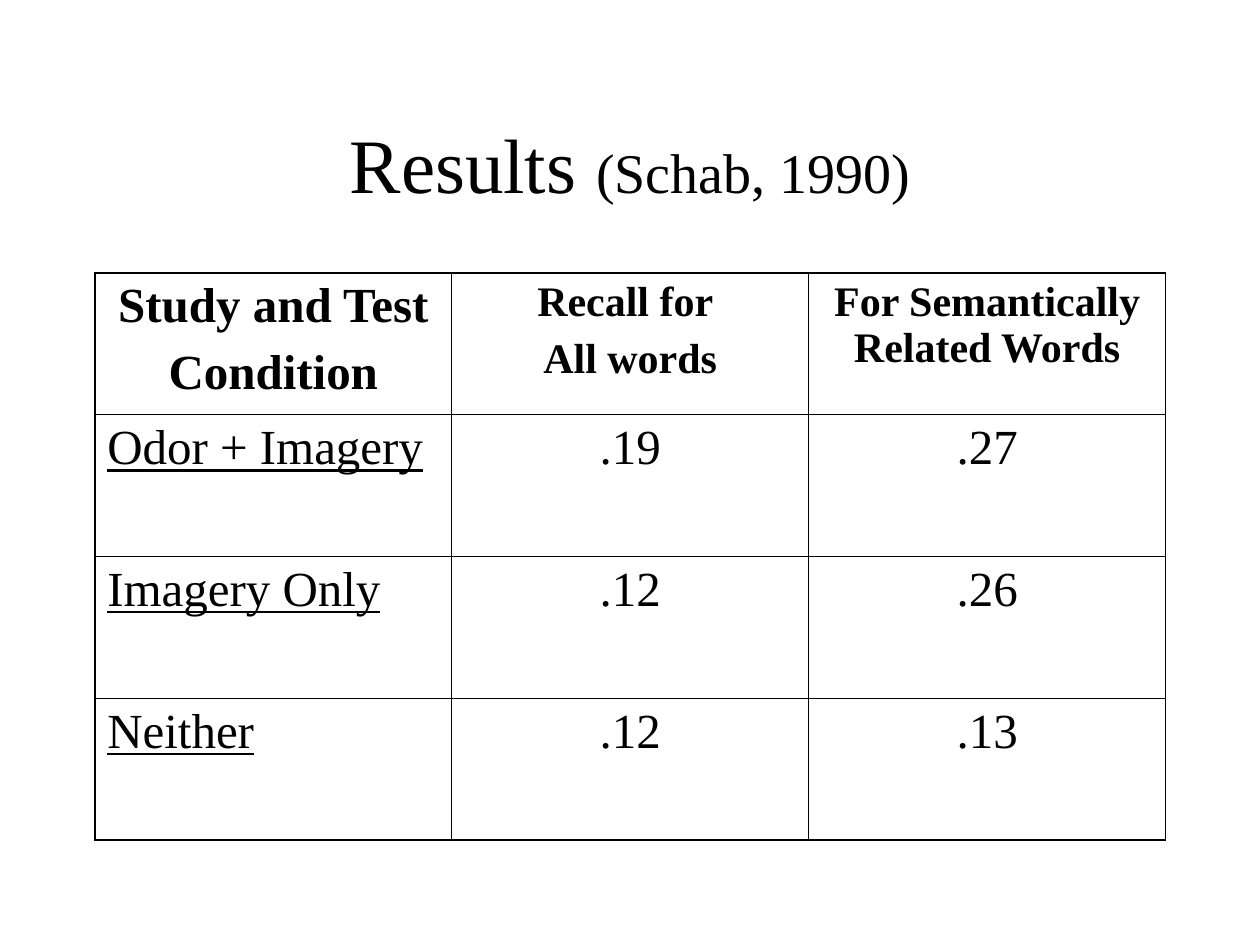
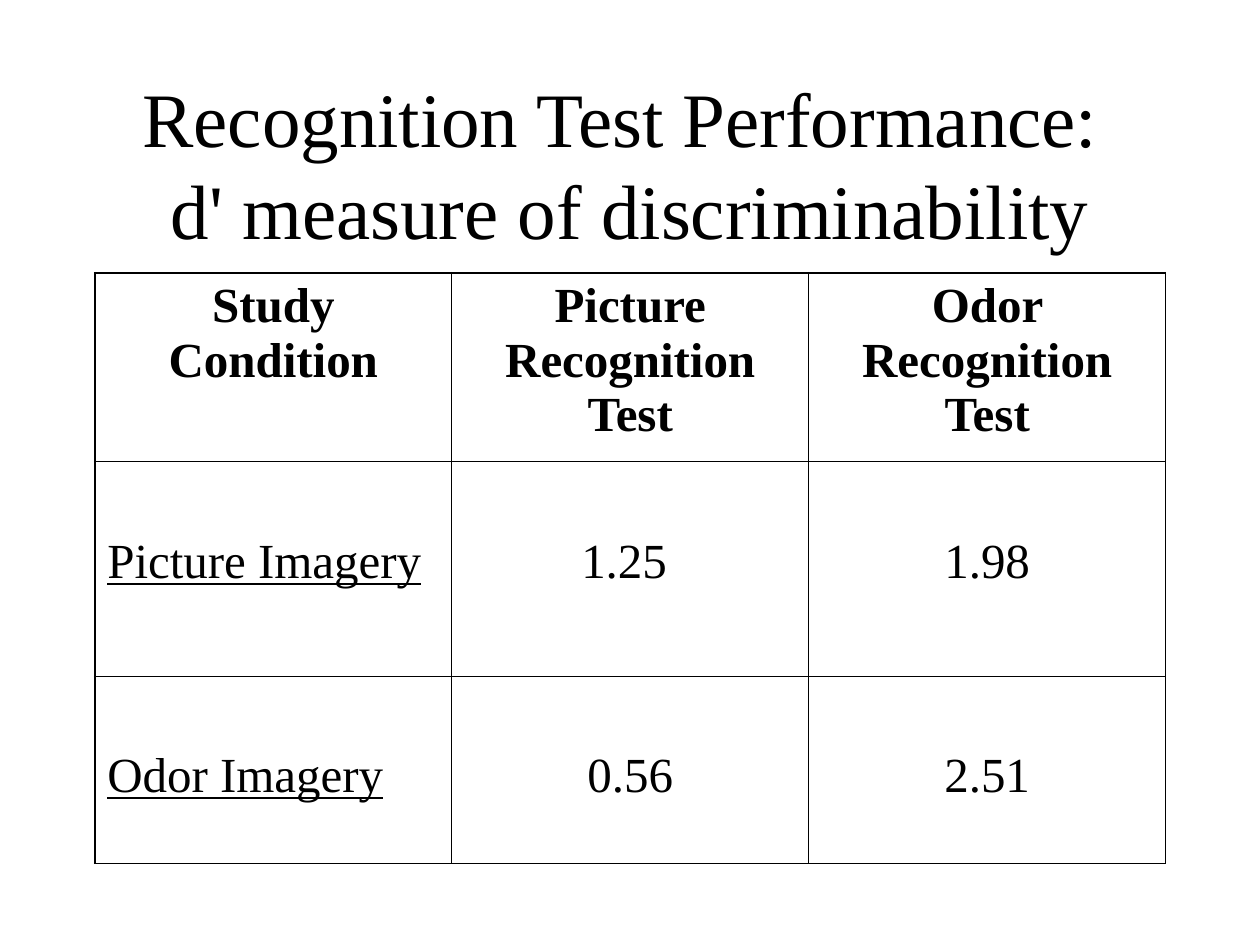
from dataclasses import dataclass

from lxml.etree import SubElement
from pptx import Presentation
from pptx.dml.color import RGBColor
from pptx.enum.text import MSO_ANCHOR, MSO_AUTO_SIZE, PP_ALIGN
from pptx.oxml.ns import qn
from pptx.util import Cm, Pt


@dataclass(frozen=True)
class Theme:
    font: str = "Times New Roman"
    ink: str = "000000"
    title: float = 44
    citation: float = 32
    body: float = 28
    small_head: float = 24
    title_leading: float = 52.5
    outer_line: float = 1.08
    inner_line: float = 0.45


LEFT, WIDTH = Cm(1.91), Cm(21.59)
TITLE_TOP, TITLE_HEIGHT = Cm(1.69), Cm(3.18)
TABLE_TOP = Cm(5.5)


class Deck:
    """Holds the style and the slide being filled."""

    def __init__(self, theme):
        self.theme = theme
        self.prs = Presentation()
        self.prs.slide_width, self.prs.slide_height = Cm(25.4), Cm(19.05)
        self.s = None

    def new_slide(self):
        self.s = self.prs.slides.add_slide(self.prs.slide_layouts[5])

    def style(self, font, size, **extra):
        values = {"name": self.theme.font, "size": Pt(size), **extra}
        for key, value in values.items():
            setattr(font, key, value)
        font.color.rgb = RGBColor.from_string(self.theme.ink)

    def title(self, *runs):
        """Each run is a (text, size) pair; a vertical tab breaks the line."""
        sp = self.s.shapes.title
        place = {"left": LEFT, "top": TITLE_TOP,
                 "width": WIDTH, "height": TITLE_HEIGHT}
        for key, value in place.items():
            setattr(sp, key, value)
        tf = sp.text_frame
        frame = {"word_wrap": True, "auto_size": MSO_AUTO_SIZE.NONE,
                 "vertical_anchor": MSO_ANCHOR.MIDDLE}
        for key, value in frame.items():
            setattr(tf, key, value)
        p = tf.paragraphs[0]
        p.alignment = PP_ALIGN.CENTER
        p.line_spacing = Pt(self.theme.title_leading)
        for text, size in runs:
            lines = text.split("\v")
            for i, line in enumerate(lines):
                if i:
                    p.add_line_break()
                r = p.add_run()
                r.text = line
                self.style(r.font, size)

    def cell_text(self, cell, text, size, align, **extra):
        tf = cell.text_frame
        for i, line in enumerate(text.split("\n")):
            p = tf.add_paragraph() if i else tf.paragraphs[0]
            p.alignment = align
            if i:
                p.space_before = Pt(size / 4)
            r = p.add_run()
            r.text = line
            self.style(r.font, size, **extra)

    def cell_borders(self, cell, outer_sides):
        tc_pr = cell._tc.get_or_add_tcPr()
        for side in "LRTB":
            width = (self.theme.outer_line if side in outer_sides
                     else self.theme.inner_line)
            ln = SubElement(tc_pr, qn(f"a:ln{side}"), w=str(Pt(width)))
            fill = SubElement(ln, qn("a:solidFill"))
            SubElement(fill, qn("a:srgbClr"), val=self.theme.ink)

    def table(self, rows, heights, head_sizes, body_inset=Cm(0.13)):
        n_rows, n_cols = len(rows), len(rows[0])
        tbl = self.s.shapes.add_table(n_rows, n_cols, LEFT, TABLE_TOP,
                                      WIDTH, sum(heights)).table
        tbl.first_row = tbl.horz_banding = False
        for col in tbl.columns:
            col.width = WIDTH // n_cols
        for i, (row, height) in enumerate(zip(rows, heights)):
            tbl.rows[i].height = height
            for j, text in enumerate(row):
                cell = tbl.cell(i, j)
                edges = {"L": j == 0, "R": j == n_cols - 1,
                         "T": i == 0, "B": i == n_rows - 1}
                self.cell_borders(cell, [k for k, on in edges.items() if on])
                cell.fill.background()
                if i == 0:
                    self.cell_text(cell, text, head_sizes[j],
                                   PP_ALIGN.CENTER, bold=True)
                    continue
                cell.margin_top = body_inset
                align = PP_ALIGN.CENTER if j else PP_ALIGN.LEFT
                self.cell_text(cell, text, self.theme.body, align,
                               bold=False, underline=j == 0)


def main():
    theme = Theme()
    deck = Deck(theme)

    # Recall results
    deck.new_slide()
    deck.title(("Results ", theme.title), ("(Schab, 1990)", theme.citation))
    deck.table(
        [("Study and Test\nCondition", "Recall for \nAll words",
          "For Semantically Related Words"),
         ("Odor + Imagery", ".19", ".27"),
         ("Imagery Only", ".12", ".26"),
         ("Neither", ".12", ".13")],
        heights=[Cm(2.86)] * 4,
        head_sizes=[theme.body, theme.small_head, theme.small_head])

    # Recognition results, with body text set one line lower
    deck.new_slide()
    deck.title(("Recognition Test Performance: \vd' measure of discriminability",
                theme.title))
    deck.table(
        [("Study Condition", "Picture Recognition Test",
          "Odor Recognition Test"),
         ("Picture Imagery", "1.25 ", "1.98"),
         ("Odor Imagery", "0.56", "2.51")],
        heights=[Cm(3.81), Cm(4.32), Cm(3.78)],
        head_sizes=[theme.body] * 3,
        body_inset=Cm(1.47))

    deck.prs.save("out.pptx")


if __name__ == "__main__":
    main()
